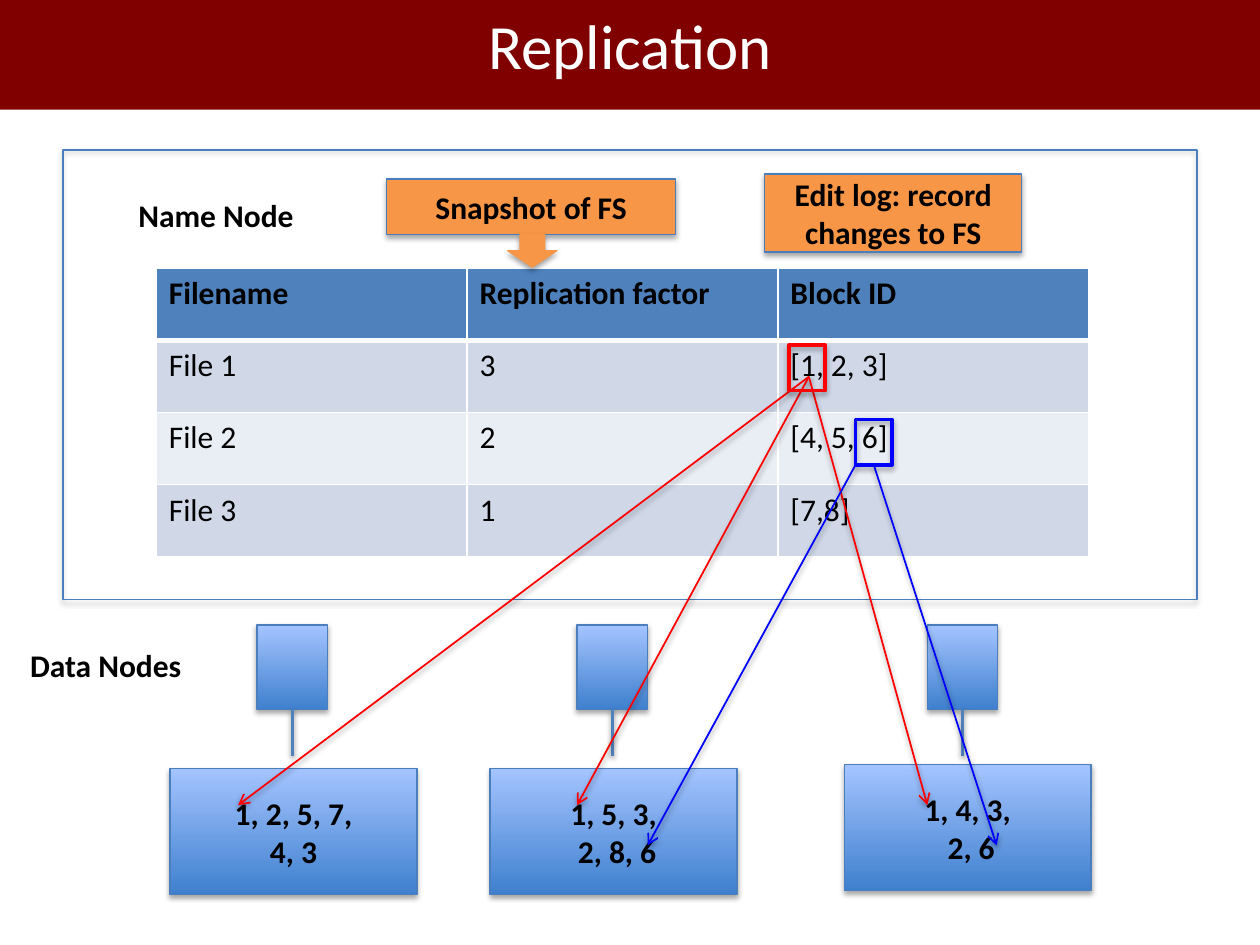
"""Build a slide on how a name node replicates file blocks over data nodes."""
from lxml.etree import SubElement
from pptx import Presentation
from pptx.dml.color import RGBColor
from pptx.enum.shapes import MSO_CONNECTOR, MSO_SHAPE
from pptx.enum.text import MSO_ANCHOR, MSO_AUTO_SIZE, PP_ALIGN
from pptx.oxml.ns import qn
from pptx.util import Inches, Pt

FONT = "Calibri"
BLACK = RGBColor(0x00, 0x00, 0x00)
WHITE = RGBColor(0xFF, 0xFF, 0xFF)
MAROON = RGBColor(0x80, 0x00, 0x00)
OUTLINE = RGBColor(0x4B, 0x7E, 0xBC)
BLUE = RGBColor(0x4F, 0x81, 0xBD)
GRADIENT = (RGBColor(0x3F, 0x80, 0xCE), RGBColor(0xA4, 0xC4, 0xFF))
BAND_DARK = RGBColor(0xD0, 0xD8, 0xE8)
BAND_LIGHT = RGBColor(0xE9, 0xED, 0xF4)
ORANGE = RGBColor(0xF7, 0x96, 0x46)
RED = RGBColor(0xFF, 0x00, 0x00)
PURE_BLUE = RGBColor(0x00, 0x00, 0xFF)

TITLE = "Replication"
FILES = [
    ("Filename", "Replication factor", "Block ID"),
    ("File 1", "3", "[1, 2, 3]"),
    ("File 2", "2", "[4, 5, 6]"),
    ("File 3", "1", "[7,8]"),
]
LABELS = [("Name Node", 1, 1.51), ("Data Nodes", 0.14, 5.08)]
CALLOUTS = [
    ("Snapshot of FS", (3.07, 1.42, 2.29, 0.44)),
    ("Edit log: record changes to FS", (6.07, 1.38, 2.04, 0.62)),
]
DATA_NODES = [
    (2.04, 1.35, 6.1, ["1, 2, 5, 7,", "4, 3"]),
    (4.58, 3.89, 6.1, ["1, 5, 3,", " 2, 8, 6"]),
    (7.36, 6.7, 6.07, ["1, 4, 3,", " 2, 6"]),
]
BLOCK_1_START = (6.42, 2.99)
BLOCK_1_ENDS = [(1.89, 6.39), (4.58, 6.39), (7.36, 6.39)]
BLOCK_6_ENDS = [(5.14, 6.71), (7.91, 6.71)]
MARK_SIZE = (0.29, 0.36)


def add_shadow(item, opacity, distance):
    """Give a shape or connector a soft shadow straight below it."""
    effects = SubElement(item._element.spPr, qn("a:effectLst"))
    shadow = SubElement(effects, qn("a:outerShdw"), blurRad=str(Pt(3.1)),
                        dist=str(Pt(distance)), dir="5400000", rotWithShape="0")
    color = SubElement(shadow, qn("a:srgbClr"), val="000000")
    SubElement(color, qn("a:alpha"), val=str(opacity * 1000))


def write(box, lines, align=PP_ALIGN.CENTER, size=18, color=BLACK, bold=True):
    """Fill a text frame with one paragraph per line."""
    frame = box.text_frame
    frame.text = "\n".join(lines)
    frame.word_wrap = True
    for para in frame.paragraphs:
        para.alignment = align
        para.font.name = FONT
        para.font.size = Pt(size)
        para.font.bold = bold
        para.font.color.rgb = color


def add_box(page, place, fill=None, line=OUTLINE, width=0.75, lines=(),
            kind=MSO_SHAPE.RECTANGLE):
    """Add a shadowed shape with a solid, gradient or empty fill."""
    box = page.shapes.add_shape(kind, *map(Inches, place))
    if fill is None:
        box.fill.background()
    elif fill is GRADIENT:
        box.fill.gradient()
        box.fill.gradient_angle = 90
        for stop, color in zip(box.fill.gradient_stops, GRADIENT):
            stop.color.rgb = color
    else:
        box.fill.solid()
        box.fill.fore_color.rgb = fill
    box.line.color.rgb = line
    box.line.width = Pt(width)
    add_shadow(box, 35, 1.8)
    if lines:
        write(box, lines)
        box.text_frame.vertical_anchor = MSO_ANCHOR.MIDDLE
    return box


def add_line(page, start, end, color, width=1, arrow=True, source=None):
    """Add a straight line, joined to the bottom of source if there is one."""
    line = page.shapes.add_connector(MSO_CONNECTOR.STRAIGHT, *map(Inches, start + end))
    if source is not None:
        line.begin_connect(source, 2)
    line.line.color.rgb = color
    line.line.width = Pt(width)
    if arrow:
        SubElement(line.line._get_or_add_ln(), qn("a:tailEnd"), type="arrow")
    add_shadow(line, 38, 1.6)


def add_borders(cell, top, bottom):
    """Draw white borders, with the top and bottom widths in points."""
    properties = cell._tc.get_or_add_tcPr()
    for side, width in (("L", 1), ("R", 1), ("T", top), ("B", bottom)):
        border = SubElement(properties, qn(f"a:ln{side}"), w=str(Pt(width)))
        fill = SubElement(border, qn("a:solidFill"))
        SubElement(fill, qn("a:srgbClr"), val=str(WHITE))


def add_file_table(page):
    """Add the table of files and their blocks."""
    table = page.shapes.add_table(len(FILES), len(FILES[0]), Inches(1.24), Inches(2.13),
                                  Inches(7.4), Inches(2.29)).table
    for row, texts in enumerate(FILES):
        for column, text in enumerate(texts):
            cell = table.cell(row, column)
            add_borders(cell, 3 if row == 1 else 1, 3 if row == 0 else 1)
            cell.fill.solid()
            cell.fill.fore_color.rgb = (
                BLUE if row == 0 else BAND_DARK if row % 2 else BAND_LIGHT)
            write(cell, [text], PP_ALIGN.LEFT, bold=row == 0)


def main():
    deck = Presentation()
    deck.slide_width, deck.slide_height = Inches(10), Inches(7.5)
    page = deck.slides.add_slide(deck.slide_layouts[5])

    title = page.shapes.title
    title.left, title.top, title.width, title.height = map(Inches, (0, -0.16, 10, 1.03))
    title.fill.solid()
    title.fill.fore_color.rgb = MAROON
    write(title, [TITLE], size=36, color=WHITE, bold=False)
    title.text_frame.vertical_anchor = MSO_ANCHOR.MIDDLE
    title.text_frame.auto_size = MSO_AUTO_SIZE.NONE

    add_box(page, (0.5, 1.19, 9, 3.57))
    add_file_table(page)

    for node_left, store_left, store_top, blocks in DATA_NODES:
        node = add_box(page, (node_left, 4.96, 0.56, 0.67), GRADIENT)
        middle = node_left + 0.28
        add_line(page, (middle, 5.63), (middle, 6), BLUE, 2, arrow=False, source=node)
        add_box(page, (store_left, store_top, 1.96, 1), GRADIENT, lines=blocks)

    for text, left, top in LABELS:
        label = page.shapes.add_textbox(*map(Inches, (left, top, 2.07, 0.4)))
        write(label, [text], PP_ALIGN.LEFT)

    for end in BLOCK_1_ENDS:
        add_line(page, BLOCK_1_START, end, RED)
    add_box(page, (6.26, 2.74) + MARK_SIZE, line=RED, width=2)
    block_6 = add_box(page, (6.79, 3.33) + MARK_SIZE, line=PURE_BLUE, width=2)
    for end, source in zip(BLOCK_6_ENDS, (None, block_6)):
        add_line(page, (6.79, 3.69), end, PURE_BLUE, source=source)

    for text, place in CALLOUTS:
        add_box(page, place, ORANGE, lines=[text])
    add_box(page, (4.03, 1.86, 0.39, 0.26), ORANGE, ORANGE, kind=MSO_SHAPE.DOWN_ARROW)

    deck.save("out.pptx")


if __name__ == "__main__":
    main()
